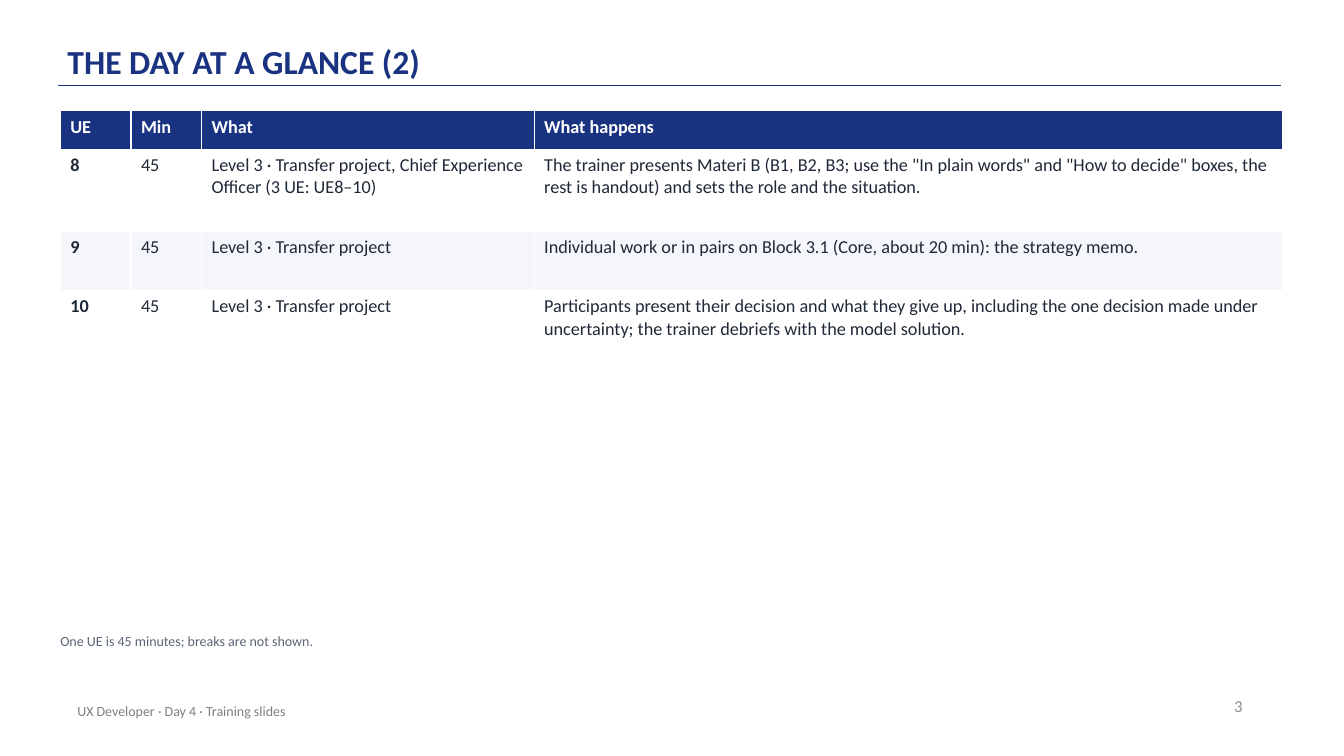
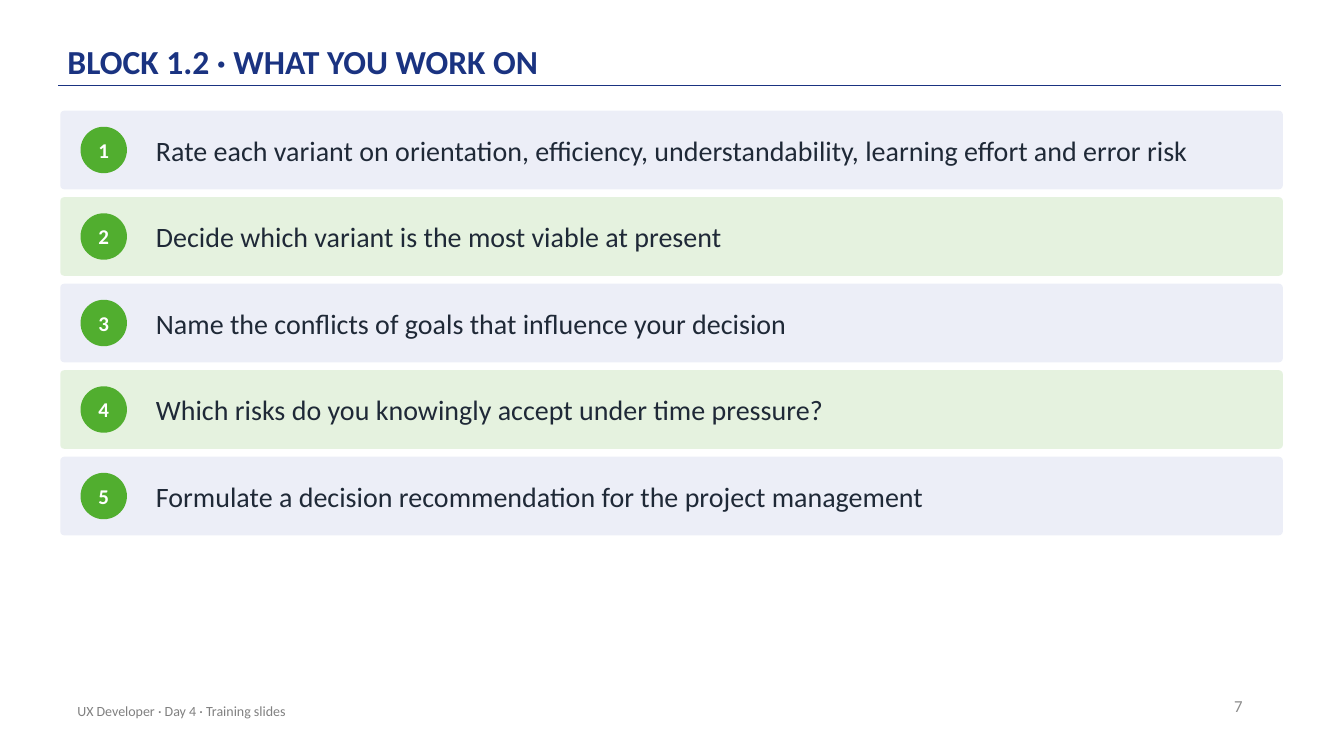
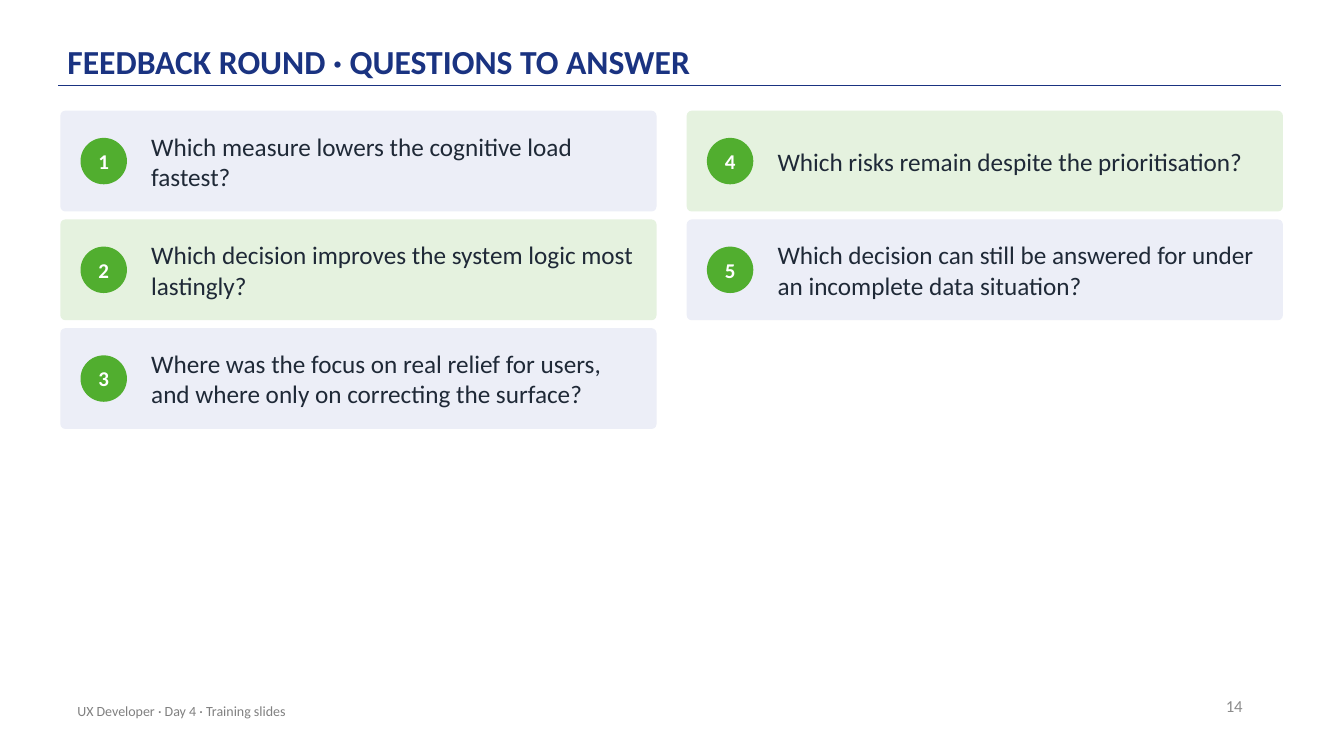
"""Build three training slides: a schedule table and two sets of numbered cards."""
from collections import namedtuple

from lxml.etree import SubElement
from pptx import Presentation
from pptx.dml.color import RGBColor
from pptx.enum.shapes import MSO_CONNECTOR as Line, MSO_SHAPE as Preset
from pptx.enum.text import MSO_ANCHOR as Anchor, MSO_AUTO_SIZE as Fit, PP_ALIGN as Align
from pptx.oxml.ns import qn
from pptx.util import Cm, Pt

COLOURS = {
    "navy": "1A3381", "green": "51AE2F", "ink": "1F2937", "white": "FFFFFF",
    "stripe": "F4F6FB", "note": "5B6577", "footer": "808080", "number": "8C8C8C",
    "blue_card": "ECEEF7", "green_card": "E5F2DF",
}
STYLES = {
    "title": {"size": Pt(24), "bold": True, "colour": "navy"},
    "number": {"size": Pt(12), "bold": False, "colour": "number"},
    "footer": {"size": Pt(10), "bold": False, "colour": "footer"},
    "note": {"size": Pt(10), "bold": False, "colour": "note"},
    "header": {"size": Pt(13), "bold": True, "colour": "white"},
    "key": {"size": Pt(13), "bold": True, "colour": "ink"},
    "cell": {"size": Pt(13), "bold": False, "colour": "ink"},
    "badge": {"size": Pt(15), "bold": True, "colour": "white"},
    "task": {"size": Pt(20), "bold": False, "colour": "ink"},
    "question": {"size": Pt(18), "bold": False, "colour": "ink"},
}
FONT = "Calibri"
FOOTER = "UX Developer · Day 4 · Training slides"
NO_INSETS = (0, 0, 0, 0)
CARD_GAP, COLUMN_GAP, BADGE_SIZE, BADGE_INSET = 0.2, 0.76, 1.17, 0.51

Box = namedtuple("Box", "left top width height")
CONTENT = Box(1.52, 2.79, 30.81, 13)

SCHEDULE = [
    ("UE", "Min", "What", "What happens"),
    ("8", "45", "Level 3 · Transfer project, Chief Experience Officer (3 UE: UE8–10)",
     'The trainer presents Materi B (B1, B2, B3; use the "In plain words" and "How to decide" boxes, '
     "the rest is handout) and sets the role and the situation."),
    ("9", "45", "Level 3 · Transfer project",
     "Individual work or in pairs on Block 3.1 (Core, about 20 min): the strategy memo."),
    ("10", "45", "Level 3 · Transfer project",
     "Participants present their decision and what they give up, including the one decision made "
     "under uncertainty; the trainer debriefs with the model solution."),
]
TASKS = [
    "Rate each variant on orientation, efficiency, understandability, learning effort and error risk",
    "Decide which variant is the most viable at present",
    "Name the conflicts of goals that influence your decision",
    "Which risks do you knowingly accept under time pressure?",
    "Formulate a decision recommendation for the project management",
]
QUESTIONS = [
    "Which measure lowers the cognitive load fastest?",
    "Which decision improves the system logic most lastingly?",
    "Where was the focus on real relief for users, and where only on correcting the surface?",
    "Which risks remain despite the prioritisation?",
    "Which decision can still be answered for under an incomplete data situation?",
]


def colour(name):
    """Return the named colour."""
    return RGBColor.from_string(COLOURS[name])


def lengths(values):
    """Turn numbers of centimetres into lengths."""
    return [Cm(value) for value in values]


def write(frame, text, style, align=Align.LEFT, **para_format):
    """Put one styled paragraph into a text frame and return it."""
    frame.text = text
    para = frame.paragraphs[0]
    for name, value in {"alignment": align, **para_format}.items():
        setattr(para, name, value)
    font = para.runs[0].font
    for name, value in {"name": FONT, **STYLES[style]}.items():
        if name == "colour":
            font.color.rgb = colour(value)
        else:
            setattr(font, name, value)


def set_frame(frame, anchor, insets):
    """Set wrapping, anchor and insets (left, top, right, bottom)."""
    left, top, right, bottom = lengths(insets)
    settings = {
        "word_wrap": True, "auto_size": Fit.NONE, "vertical_anchor": anchor,
        "margin_left": left, "margin_top": top, "margin_right": right, "margin_bottom": bottom,
    }
    for name, value in settings.items():
        setattr(frame, name, value)


def add_text(page, box, text, style, anchor=Anchor.MIDDLE, insets=NO_INSETS, **para_format):
    """Add a text box with one paragraph."""
    frame = page.shapes.add_textbox(*lengths(box)).text_frame
    set_frame(frame, anchor, insets)
    write(frame, text, style, **para_format)


def add_filled(page, preset, box, fill):
    """Add a plain filled shape without line or shadow."""
    shape = page.shapes.add_shape(preset, *lengths(box))
    shape.shadow.inherit = False
    shape.fill.solid()
    shape.fill.fore_color.rgb = colour(fill)
    shape.line.fill.background()
    return shape


def add_page(deck, title, number):
    """Add a slide with its title, rule, page number and footer."""
    page = deck.slides.add_slide(deck.slide_layouts[5])
    rule = page.shapes.add_connector(Line.STRAIGHT, *lengths((1.47, 2.16, 32.28, 2.16)))
    rule.line.color.rgb = colour("navy")
    rule.line.width = Pt(1)
    SubElement(rule.element.spPr, qn("a:effectLst"))
    heading = page.shapes.title
    heading.left, heading.top, heading.width, heading.height = lengths((1.7, 0.3, 27.94, 1.83))
    set_frame(heading.text_frame, Anchor.BOTTOM, (0, 0.08, 0, 0.08))
    write(heading.text_frame, title, "title", line_spacing=0.9)
    insets = (0.25, 0.13, 0.25, 0.13)
    add_text(page, Box(23.95, 17.27, 7.62, 1.02), str(number), "number", insets=insets, align=Align.RIGHT)
    add_text(page, Box(1.7, 17.4, 17.02, 1.02), FOOTER, "footer", insets=insets)
    return page


def add_schedule(page, box, rows, widths, heights):
    """Add the schedule table with a header row and striped body rows."""
    area = Box(box.left, box.top, sum(widths), sum(heights))
    table = page.shapes.add_table(len(rows), len(widths), *lengths(area)).table
    for column, width in zip(table.columns, widths):
        column.width = Cm(width)
    for index, (row, height, texts) in enumerate(zip(table.rows, heights, rows)):
        row.height = Cm(height)
        fill = "navy" if index == 0 else ("stripe", "white")[index % 2]
        for place, (cell, text) in enumerate(zip(row.cells, texts)):
            cell.fill.solid()
            cell.fill.fore_color.rgb = colour(fill)
            style = "header" if index == 0 else "key" if place == 0 else "cell"
            write(cell.text_frame, text, style)


def add_card(page, box, number, text, style, indent, right_inset):
    """Add one card with its number badge and text."""
    fill = "blue_card" if number % 2 else "green_card"
    card = add_filled(page, Preset.ROUNDED_RECTANGLE, box, fill)
    card.adjustments[0] = 0.05
    badge_top = box.top + (box.height - BADGE_SIZE) / 2
    badge_box = Box(box.left + BADGE_INSET, badge_top, BADGE_SIZE, BADGE_SIZE)
    badge = add_filled(page, Preset.OVAL, badge_box, "green")
    set_frame(badge.text_frame, Anchor.MIDDLE, NO_INSETS)
    write(badge.text_frame, str(number), "badge", Align.CENTER)
    text_box = box._replace(left=box.left + indent, width=box.width - indent - right_inset)
    add_text(page, text_box, text, style)


def add_cards(page, box, texts, columns, height, **card_format):
    """Fill the box with numbered cards, column by column."""
    per_column = -(-len(texts) // columns)
    width = (box.width - COLUMN_GAP * (columns - 1)) / columns
    for index, text in enumerate(texts):
        column, row = divmod(index, per_column)
        left = box.left + column * (width + COLUMN_GAP)
        top = box.top + row * (height + CARD_GAP)
        add_card(page, Box(left, top, width, height), index + 1, text, **card_format)


def main():
    """Build and save the deck."""
    deck = Presentation()
    deck.slide_width, deck.slide_height = lengths((33.87, 19.05))

    page = add_page(deck, "THE DAY AT A GLANCE (2)", 3)
    add_schedule(page, CONTENT, SCHEDULE, (1.78, 1.78, 8.38, 18.87), (0.97, 2.06, 1.5, 2.06))
    add_text(page, Box(CONTENT.left, 15.93, 30.73, 0.76), "One UE is 45 minutes; breaks are not shown.",
             "note", anchor=Anchor.TOP, space_after=Pt(6))

    page = add_page(deck, "BLOCK 1.2 · WHAT YOU WORK ON", 7)
    add_cards(page, CONTENT, TASKS, 1, 1.98, style="task", indent=2.41, right_inset=0.64)

    page = add_page(deck, "FEEDBACK ROUND · QUESTIONS TO ANSWER", 14)
    add_cards(page, CONTENT, QUESTIONS, 2, 2.54, style="question", indent=2.29, right_inset=0.51)

    deck.save("out.pptx")


if __name__ == "__main__":
    main()
